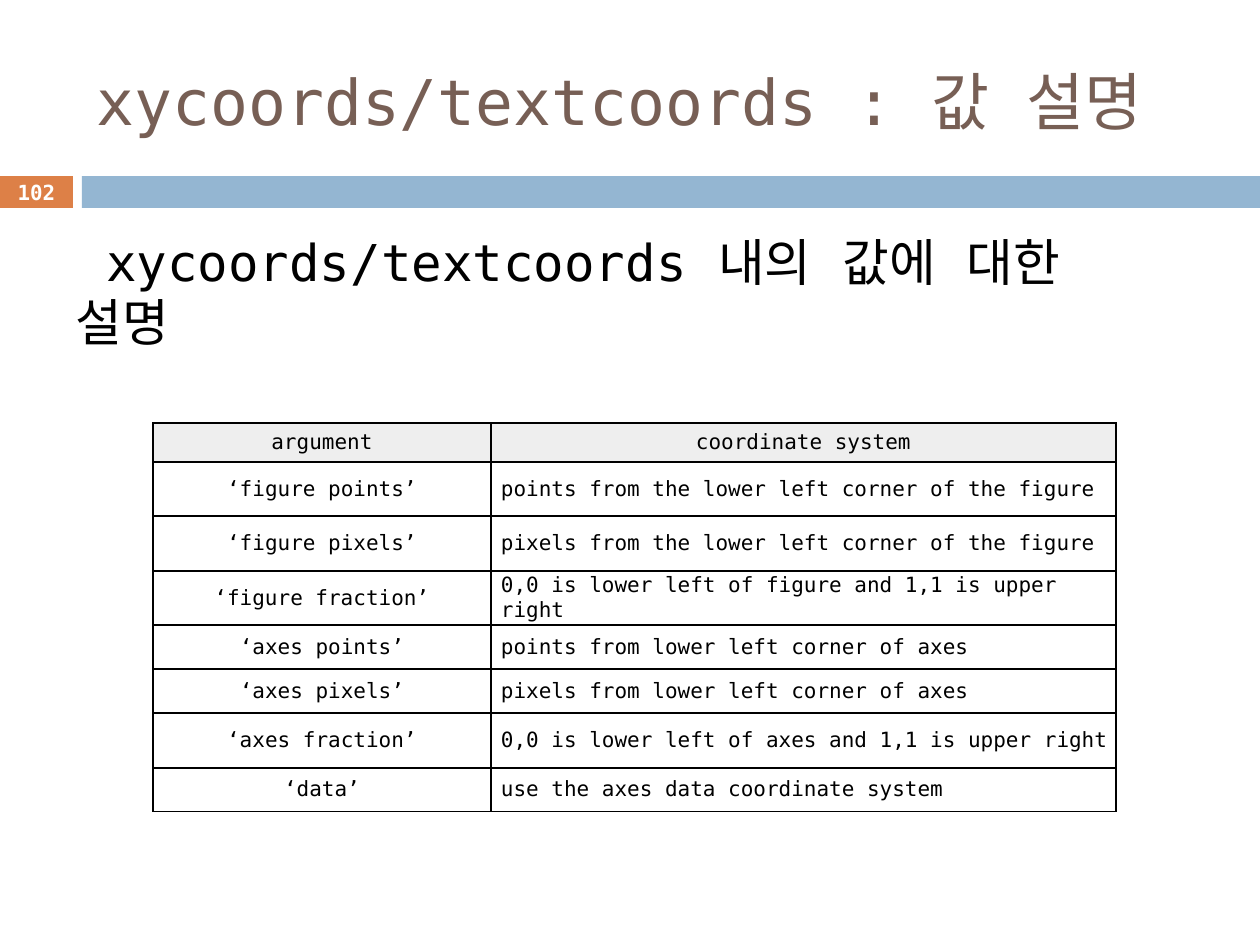
from lxml.etree import SubElement
from pptx import Presentation
from pptx.dml.color import RGBColor
from pptx.enum.shapes import MSO_SHAPE
from pptx.enum.text import MSO_ANCHOR, MSO_AUTO_SIZE, PP_ALIGN
from pptx.oxml import parse_xml
from pptx.oxml.ns import nsdecls, qn
from pptx.util import Pt

FONT = "DejaVu Sans Mono"
TITLE = "xycoords/textcoords : 값 설명"
LEAD = " xycoords/textcoords 내의 값에 대한 설명"
PAGE = "102"
BARS = [((0, 176, 73, 32), "DD8047"), ((82, 176, 1178, 32), "94B6D2")]
ROWS = [
    ("argument", "coordinate system", 39),
    ("‘figure points’", "points from the lower left corner of the figure", 54),
    ("‘figure pixels’", "pixels from the lower left corner of the figure", 55),
    ("‘figure fraction’", "0,0 is lower left of figure and 1,1 is upper right", 54),
    ("‘axes points’", "points from lower left corner of axes", 44),
    ("‘axes pixels’", "pixels from lower left corner of axes", 44),
    ("‘axes fraction’", "0,0 is lower left of axes and 1,1 is upper right", 55),
    ("‘data’", "use the axes data coordinate system", 44),
]
COLS = (338, 625)


def px(n):
    return round(n * 914400 / 126)


def rgb(code):
    return RGBColor.from_string(code)


def put(frame, text, size, color, align=PP_ALIGN.LEFT, bold=False):
    para = frame.paragraphs[0]
    para.alignment = align
    run = para.add_run()
    run.text = text
    font = run.font
    font.size, font.name, font.bold = Pt(size), FONT, bold
    font.color.rgb = rgb(color)
    SubElement(font._element, qn("a:ea")).set("typeface", FONT)
    return para


def place(shape, *box):
    shape.left, shape.top, shape.width, shape.height = map(px, box)
    frame = shape.text_frame
    frame.word_wrap = True
    frame.auto_size = MSO_AUTO_SIZE.NONE
    return frame


def rule(cell):
    props = cell._tc.get_or_add_tcPr()
    for i, side in enumerate("LRTB"):
        props.insert(i, parse_xml(
            f'<a:ln{side} {nsdecls("a")} w="12700"><a:solidFill>'
            f'<a:srgbClr val="000000"/></a:solidFill></a:ln{side}>'))


deck = Presentation()
deck.slide_width, deck.slide_height = px(1260), px(945)
slide = deck.slides.add_slide(deck.slide_layouts[1])
shapes = slide.shapes

# Bars under the title
for box, color in BARS:
    bar = shapes.add_shape(MSO_SHAPE.RECTANGLE, *map(px, box))
    bar.shadow.inherit = False
    bar.fill.solid()
    bar.fill.fore_color.rgb = rgb(color)
    bar.line.fill.background()

# Title and lead line
frame = place(shapes.title, 84, 32, 1124, 136)
frame.vertical_anchor = MSO_ANCHOR.MIDDLE
put(frame, TITLE, 36, "775F55")

frame = place(slide.placeholders[1], 63, 224, 1134, 228)
para = put(frame, LEAD, 29, "000000")
para.space_before = Pt(7)
props = para._p.get_or_add_pPr()
props.set("marL", "0")
props.set("indent", "0")
SubElement(props, qn("a:buNone"))

# Table of coordinate systems
high = sum(row[2] for row in ROWS)
table = shapes.add_table(len(ROWS), len(COLS), px(153), px(423),
                         px(sum(COLS)), px(high)).table
for col, wide in zip(table.columns, COLS):
    col.width = px(wide)
for r, (*texts, tall) in enumerate(ROWS):
    table.rows[r].height = px(tall)
    for c, text in enumerate(texts):
        cell = table.cell(r, c)
        head, left = r == 0, r > 0 and c == 1
        cell.margin_left = px(10 if left else 2)
        cell.margin_right = px(2)
        cell.margin_top = cell.margin_bottom = px(0 if head else 1)
        cell.vertical_anchor = MSO_ANCHOR.MIDDLE
        cell.fill.solid()
        cell.fill.fore_color.rgb = rgb("EEEEEE" if head else "FFFFFF")
        rule(cell)
        put(cell.text_frame, text, 12, "000000",
            PP_ALIGN.LEFT if left else PP_ALIGN.CENTER)

# Page number
box = (0, 175, 73, 34)
frame = place(shapes.add_textbox(*map(px, box)), *box)
frame.margin_left = frame.margin_right = 0
frame.vertical_anchor = MSO_ANCHOR.MIDDLE
put(frame, PAGE, 11.9, "FFFFFF", PP_ALIGN.CENTER, True)

deck.save("out.pptx")
